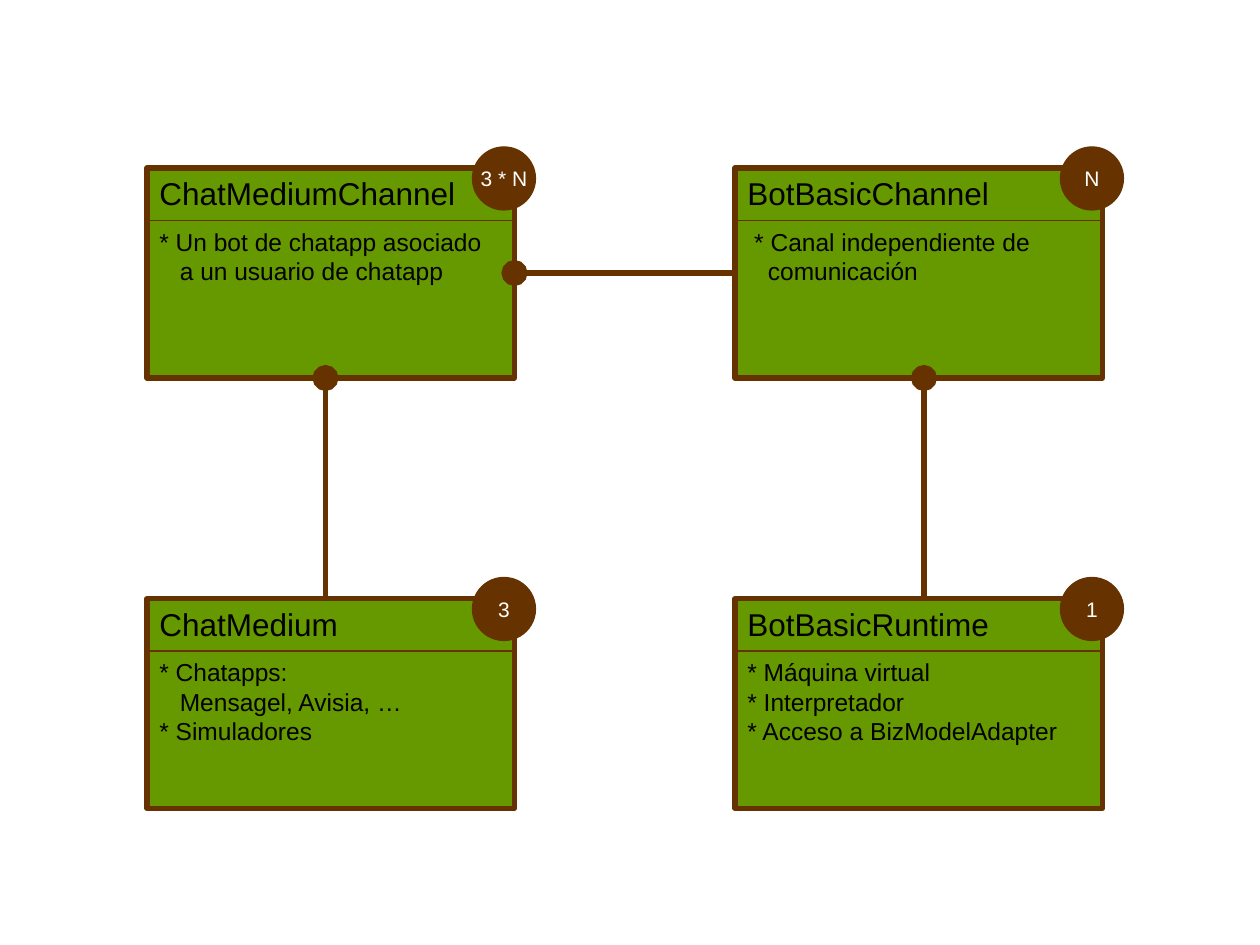
from dataclasses import dataclass

from lxml.etree import SubElement
from pptx import Presentation
from pptx.dml.color import RGBColor
from pptx.enum.shapes import MSO_CONNECTOR as CONN, MSO_SHAPE as SHAPE
from pptx.enum.text import MSO_ANCHOR as ANCHOR, MSO_AUTO_SIZE as FIT, PP_ALIGN as ALIGN
from pptx.oxml.ns import qn
from pptx.util import Emu, Pt


@dataclass(frozen=True)
class Theme:
    font: str = "Arial"
    green: str = "669900"
    brown: str = "663300"
    black: str = "000000"
    white: str = "FFFFFF"
    title: int = 18
    body: int = 14
    badge: int = 12
    thick: float = 3
    thin: float = 0.75


T = Theme()
CARD_W, CARD_H = 350, 200
HEAD_H, RULE_Y = 48, 50
BADGE, BADGE_X, BADGE_Y = 60, 310, -20
LEFT, RIGHT, TOP, BOTTOM = 140, 700, 160, 570
HANG = 11.7

CARDS = {
    "channel": (LEFT, TOP, "ChatMediumChannel", "3 * N", 68, -HANG,
                ["* Un bot de chatapp asociado\va un usuario de chatapp"]),
    "bot": (RIGHT, TOP, "BotBasicChannel", "N", 68, -7.8,
            ["* Canal independiente de\vcomunicación"]),
    "medium": (LEFT, BOTTOM, "ChatMedium", "3", 96, -HANG,
               ["* Chatapps:\vMensagel, Avisia, …", "* Simuladores"]),
    "runtime": (RIGHT, BOTTOM, "BotBasicRuntime", "1", 96, -HANG,
                ["* Máquina virtual", "* Interpretador", "* Acceso a BizModelAdapter"]),
}


def px(n):
    return Emu(n * 7620)


def rgb(color):
    return RGBColor.from_string(color)


def write(tf, lines, size, color=T.black, align=ALIGN.LEFT, anchor=ANCHOR.TOP,
          wrap=True, fit=FIT.NONE, hang=0, first=0):
    tf.word_wrap = wrap
    tf.auto_size = fit
    tf.vertical_anchor = anchor
    for i, line in enumerate(lines):
        p = tf.paragraphs[0] if i == 0 else tf.add_paragraph()
        p.text = line
        p.alignment = align
        pPr = p._p.get_or_add_pPr()
        pPr.set("marL", str(Pt(hang)))
        pPr.set("indent", str(Pt(first)))
        for r in p.runs:
            r.font.name = T.font
            r.font.size = Pt(size)
            r.font.color.rgb = rgb(color)


def add_box(s, kind, x, y, w, h, fill, weight):
    sp = s.shapes.add_shape(kind, px(x), px(y), px(w), px(h))
    sp.shadow.inherit = False
    sp.fill.solid()
    sp.fill.fore_color.rgb = rgb(fill)
    sp.line.color.rgb = rgb(T.brown)
    sp.line.width = Pt(weight)
    return sp


def add_text(s, x, y, w, h, lines, size, **fmt):
    sp = s.shapes.add_textbox(px(x), px(y), px(w), px(h))
    write(sp.text_frame, lines, size, fit=FIT.SHAPE_TO_FIT_TEXT, **fmt)


def add_line(s, x1, y1, x2, y2, weight, dot=False):
    c = s.shapes.add_connector(CONN.STRAIGHT, px(x1), px(y1), px(x2), px(y2))
    c.line.color.rgb = rgb(T.brown)
    c.line.width = Pt(weight)
    if dot:
        SubElement(c.line._get_or_add_ln(), qn("a:tailEnd"), type="oval", w="lg", len="lg")
    SubElement(c._element.spPr, qn("a:effectLst"))
    return c


def add_card(s, x, y, title, body_h, first, lines):
    sp = add_box(s, SHAPE.RECTANGLE, x, y, CARD_W, CARD_H, T.green, T.thick)
    add_text(s, x, y, CARD_W, HEAD_H, [title], T.title)
    add_line(s, x, y + RULE_Y, x + CARD_W, y + RULE_Y, T.thin)
    add_text(s, x, y + RULE_Y, CARD_W, body_h, lines, T.body, hang=HANG, first=first)
    return sp


def add_badge(s, x, y, label):
    sp = add_box(s, SHAPE.OVAL, x + BADGE_X, y + BADGE_Y, BADGE, BADGE, T.brown, T.thin)
    write(sp.text_frame, [label], T.badge, color=T.white, align=ALIGN.CENTER,
          anchor=ANCHOR.MIDDLE, wrap=False)


def add_links(s, cards):
    for x in (310, 880):
        add_line(s, x, BOTTOM, x, TOP + CARD_H, T.thick, dot=True)
    mid = TOP + CARD_H // 2
    c = add_line(s, RIGHT, mid, LEFT + CARD_W, mid, T.thick, dot=True)
    c.begin_connect(cards["bot"], 1)
    c.end_connect(cards["channel"], 3)


def main():
    prs = Presentation()
    prs.slide_width, prs.slide_height = px(1200), px(900)
    s = prs.slides.add_slide(prs.slide_layouts[6])
    cards = {}
    for name, (x, y, title, label, body_h, first, lines) in CARDS.items():
        cards[name] = add_card(s, x, y, title, body_h, first, lines)
        add_badge(s, x, y, label)
    add_links(s, cards)
    prs.save("out.pptx")


if __name__ == "__main__":
    main()
